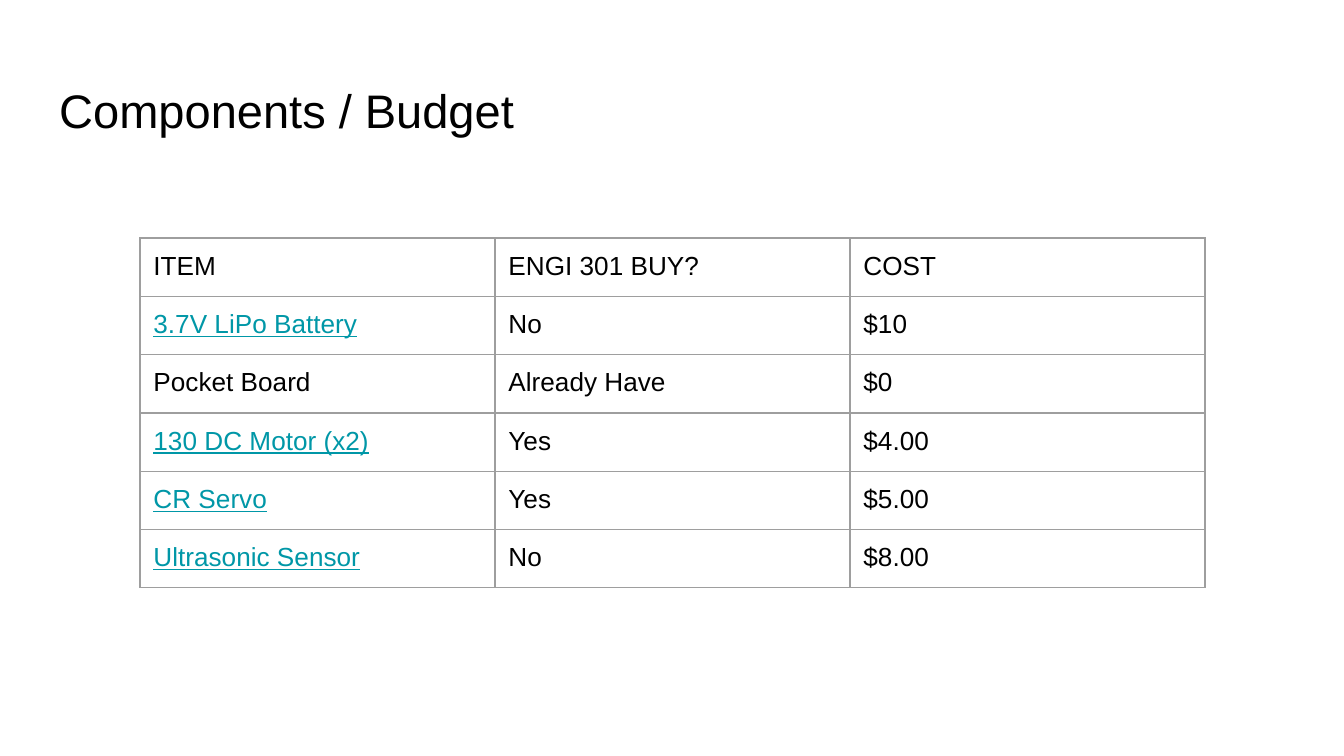
import pptx
import pptx.dml.color
import pptx.enum.text
import pptx.oxml
import pptx.oxml.ns
import pptx.util

RGBColor = pptx.dml.color.RGBColor
BLACK = RGBColor(0x00, 0x00, 0x00)
LINK_TEAL = RGBColor(0x00, 0x97, 0xA7)
BORDER_GREY = RGBColor(0x9E, 0x9E, 0x9E)

EMU_PER_PX = 9144000 / 1344
INSET = pptx.util.Inches(0.1)

HEADINGS = ("ITEM", "ENGI 301 BUY?", "COST")
COMPONENTS = (
    ("3.7V LiPo Battery", "No", "$10"),
    ("Pocket Board", "Already Have", "$0"),
    ("130 DC Motor (x2)", "Yes", "$4.00"),
    ("CR Servo", "Yes", "$5.00"),
    ("Ultrasonic Sensor", "No", "$8.00"),
)
LINKED_ITEMS = {"3.7V LiPo Battery", "130 DC Motor (x2)", "CR Servo", "Ultrasonic Sensor"}


def px(length):
    return pptx.util.Emu(round(length * EMU_PER_PX))


def write_text(frame, text, *, size, color=BLACK, underline=False):
    span = frame.paragraphs[0].add_run()
    span.text = text
    span.font.name = "Arial"
    span.font.size = pptx.util.Pt(size)
    span.font.color.rgb = color
    span.font.underline = underline


def set_insets(holder):
    """Give a text frame or table cell the same margin on every side."""
    holder.margin_left = holder.margin_right = INSET
    holder.margin_top = holder.margin_bottom = INSET


def add_title(page, text):
    box = page.shapes.add_textbox(px(46), px(67), px(1252), px(85))
    frame = box.text_frame
    frame.word_wrap = True
    frame.vertical_anchor = pptx.enum.text.MSO_ANCHOR.MIDDLE
    set_insets(frame)
    write_text(frame, text, size=25.2)


def set_borders(cell):
    properties = cell._tc.get_or_add_tcPr()
    for position, side in enumerate(("lnL", "lnR", "lnT", "lnB")):
        line = pptx.oxml.parse_xml(
            f'<a:{side} {pptx.oxml.ns.nsdecls("a")} w="{pptx.util.Pt(0.75)}">'
            f'<a:solidFill><a:srgbClr val="{BORDER_GREY}"/></a:solidFill>'
            f'<a:prstDash val="solid"/></a:{side}>'
        )
        properties.insert(position, line)


def add_budget_table(page, rows):
    column_width, row_height = 355, 56
    frame = page.shapes.add_table(
        len(rows), len(HEADINGS), px(140), px(238),
        px(column_width * len(HEADINGS)), px(row_height * len(rows)),
    )
    table = frame.table
    table.first_row = False
    table.horz_banding = False
    for row_index, row in enumerate(rows):
        for column_index, text in enumerate(row):
            cell = table.cell(row_index, column_index)
            cell.fill.background()
            set_insets(cell)
            set_borders(cell)
            linked = text in LINKED_ITEMS
            write_text(cell.text_frame, text, size=14,
                       color=LINK_TEAL if linked else BLACK, underline=linked)


def main():
    deck = pptx.Presentation()
    deck.slide_width, deck.slide_height = px(1344), px(756)
    page = deck.slides.add_slide(deck.slide_layouts[6])
    add_title(page, "Components / Budget")
    add_budget_table(page, (HEADINGS, *COMPONENTS))
    deck.save("out.pptx")


if __name__ == "__main__":
    main()
